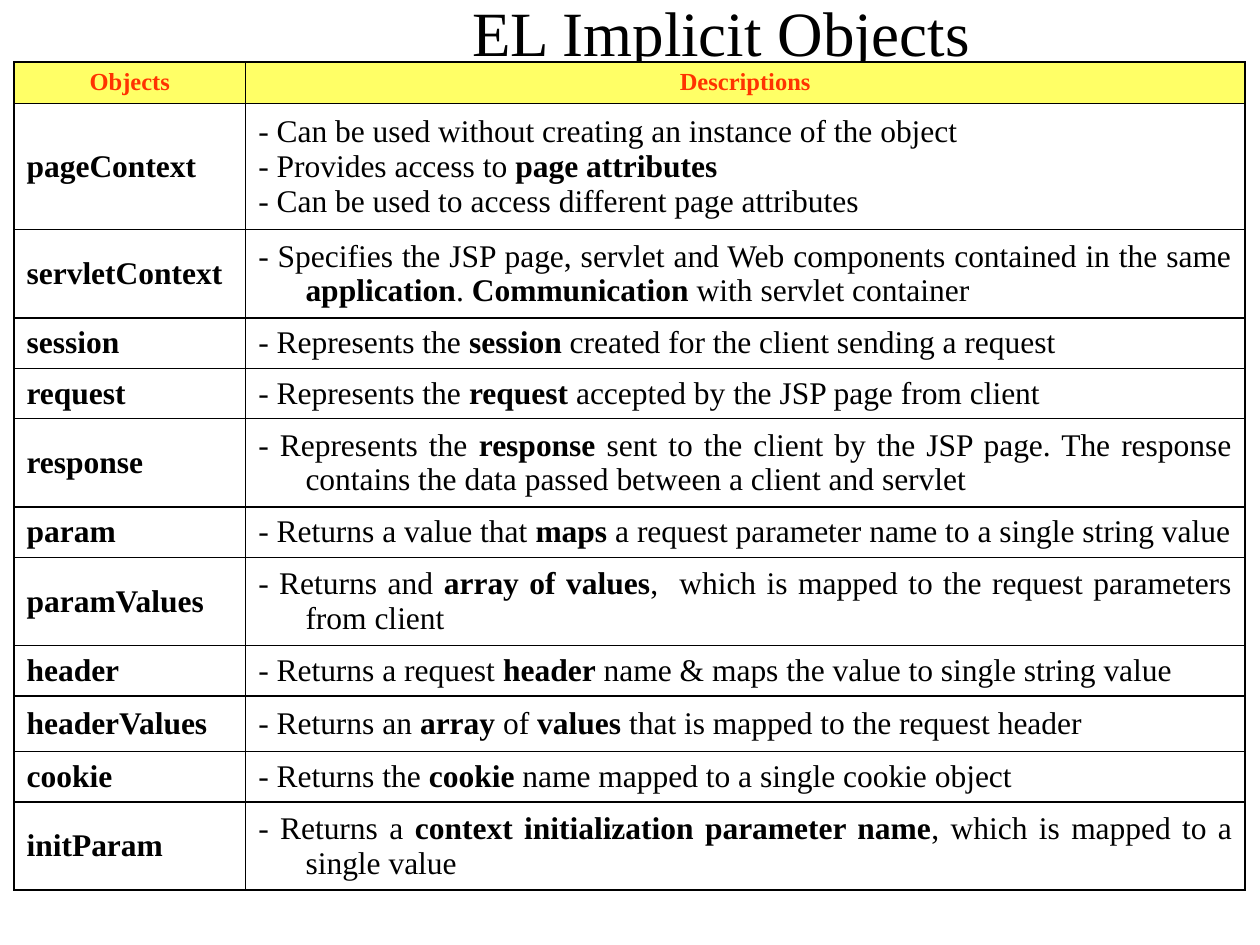
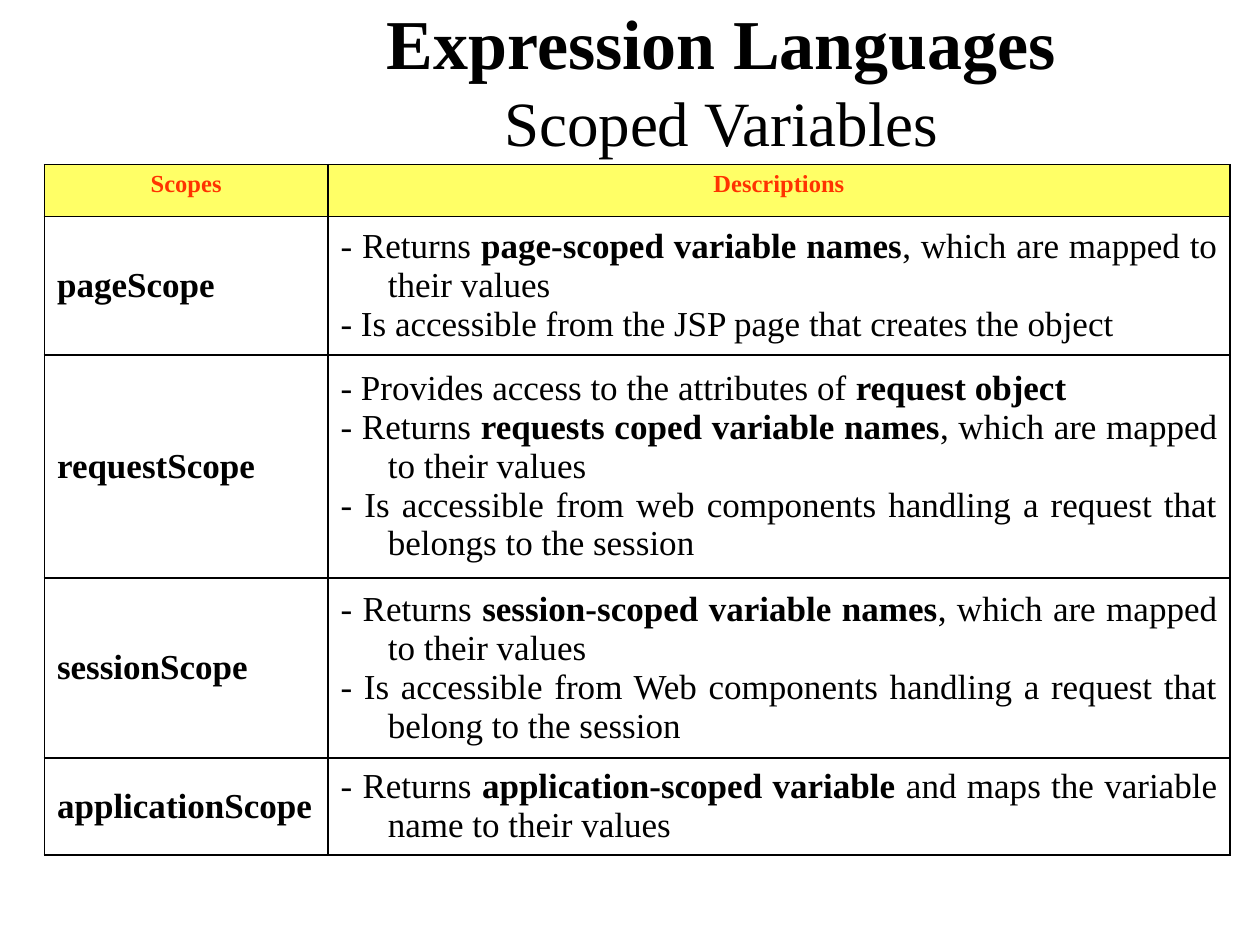
from pptx import Presentation
from pptx import util as u
from pptx.dml.color import RGBColor
from pptx.enum import text
from pptx.oxml import parse_xml
from pptx.oxml.ns import nsdecls

FONT = "Times New Roman"
BLACK = "000000"
HEADING_RED = "FF3300"
HEADING_YELLOW = "FFFF66"
TITLE_LEFT, TITLE_WIDTH = 104.4, 615.6
HANGING_INDENT = 27

# Asterisks mark bold words.
IMPLICIT_OBJECTS = [
    (23.8, "Objects", ["Descriptions"]),
    (72, "pageContext", [
        "- Can be used without creating an instance of the object",
        "- Provides access to *page attributes*",
        "- Can be used to access different page attributes"]),
    (50.4, "servletContext", [
        "- Specifies the JSP page, servlet and Web components contained in the same "
        "*application*. *Communication* with servlet container"]),
    (28.8, "session", [
        "- Represents the *session* created for the client sending a request"]),
    (28.8, "request", [
        "- Represents the *request* accepted by the JSP page from client"]),
    (50.4, "response", [
        "- Represents the *response* sent to the client by the JSP page. "
        "The response contains the data passed between a client and servlet"]),
    (28.8, "param", [
        "- Returns a value that *maps* a request parameter name to a single string value"]),
    (50.4, "paramValues", [
        "- Returns and *array of values*,  which is mapped to the request parameters "
        "from client"]),
    (28.8, "header", [
        "- Returns a request *header* name & maps the value to single string value"]),
    (31.7, "headerValues", [
        "- Returns an *array* of *values* that is mapped to the request header"]),
    (28.8, "cookie", [
        "- Returns the *cookie* name mapped to a single cookie object"]),
    (50.4, "initParam", [
        "- Returns a *context initialization parameter name*, which is mapped to "
        "a single value"]),
]

SCOPED_VARIABLES = [
    (29.5, "Scopes", ["Descriptions"]),
    (79.2, "pageScope", [
        "- Returns *page-scoped variable names*, which are mapped to their values",
        "- Is accessible from the JSP page that creates the object"]),
    (127.4, "requestScope", [
        "- Provides access to the attributes of *request object*",
        "- Returns *requests coped variable names*, which are mapped to their values",
        "- Is accessible from web components handling a request that belongs "
        "to the session"]),
    (103, "sessionScope", [
        "- Returns *session-scoped variable names*, which are mapped to their values",
        "- Is accessible from Web components handling a request that belong "
        "to the session"]),
    (55.4, "applicationScope", [
        "- Returns *application-scoped variable* and maps the variable name "
        "to their values"]),
]


def rgb(hex_color):
    return RGBColor.from_string(hex_color)


def add_run(paragraph, words, size, bold=False, color=BLACK):
    run = paragraph.add_run()
    run.text = words
    run.font.name = FONT
    run.font.size = u.Pt(size)
    run.font.bold = bold
    run.font.color.rgb = rgb(color)


def add_titled_slide(presentation, height, lines):
    """Add a title-only slide; lines holds (words, size, bold) for each title line."""
    slide = presentation.slides.add_slide(presentation.slide_layouts[5])
    title = slide.shapes.title
    title.left, title.top = u.Pt(TITLE_LEFT), u.Pt(0)
    title.width, title.height = u.Pt(TITLE_WIDTH), u.Pt(height)
    frame = title.text_frame
    frame.auto_size = text.MSO_AUTO_SIZE.NONE
    frame.vertical_anchor = text.MSO_ANCHOR.MIDDLE
    paragraph = frame.paragraphs[0]
    paragraph.alignment = text.PP_ALIGN.CENTER
    for index, (words, size, bold) in enumerate(lines):
        if index:
            paragraph.add_line_break()
        add_run(paragraph, words, size, bold)
    return slide


def add_borders(cell):
    properties = cell._tc.get_or_add_tcPr()
    for side in ("lnL", "lnR", "lnT", "lnB"):
        properties.append(parse_xml(
            f'<a:{side} {nsdecls("a")} w="{u.Pt(1)}"><a:solidFill>'
            f'<a:srgbClr val="{BLACK}"/></a:solidFill></a:{side}>'))


def fill_cell(cell, paragraphs, size, alignment, color=BLACK, bold=False):
    frame = cell.text_frame
    for index, marked_text in enumerate(paragraphs):
        paragraph = frame.add_paragraph() if index else frame.paragraphs[0]
        paragraph.alignment = alignment
        properties = paragraph._p.get_or_add_pPr()
        properties.set("marL", str(u.Pt(HANGING_INDENT)))
        properties.set("indent", str(-u.Pt(HANGING_INDENT)))
        for part, words in enumerate(marked_text.split("*")):
            if words:
                add_run(paragraph, words, size, bold or part % 2 == 1, color)


def add_description_table(slide, left, top, widths, rows, size):
    heights = [row[0] for row in rows]
    table = slide.shapes.add_table(
        len(rows), len(widths), u.Pt(left), u.Pt(top),
        u.Pt(sum(widths)), u.Pt(sum(heights))).table
    table.first_row = table.horz_banding = False
    for column, width in zip(table.columns, widths):
        column.width = u.Pt(width)
    align = text.PP_ALIGN
    for index, (height, name, descriptions) in enumerate(rows):
        table.rows[index].height = u.Pt(height)
        cells = table.cell(index, 0), table.cell(index, 1)
        for cell in cells:
            add_borders(cell)
        if index == 0:
            for cell, heading in zip(cells, [name, *descriptions]):
                cell.fill.solid()
                cell.fill.fore_color.rgb = rgb(HEADING_YELLOW)
                fill_cell(cell, [heading], 14, align.CENTER, HEADING_RED, True)
            continue
        for cell in cells:
            cell.fill.background()
            cell.vertical_anchor = text.MSO_ANCHOR.MIDDLE
        fill_cell(cells[0], [name], size, align.LEFT, bold=True)
        fill_cell(cells[1], descriptions, size, align.JUSTIFY)


def main():
    presentation = Presentation()
    presentation.slide_width, presentation.slide_height = u.Pt(720), u.Pt(540)

    slide = add_titled_slide(presentation, 36, [("EL Implicit Objects", 36, False)])
    add_description_table(slide, 8, 35.5, [132.4, 571], IMPLICIT_OBJECTS, 18)

    slide = add_titled_slide(presentation, 90.7, [
        ("Expression Languages", 40, True), ("Scoped Variables", 36, False)])
    add_description_table(slide, 25.4, 94.1, [162, 515.5], SCOPED_VARIABLES, 20)

    presentation.save("out.pptx")


if __name__ == "__main__":
    main()
